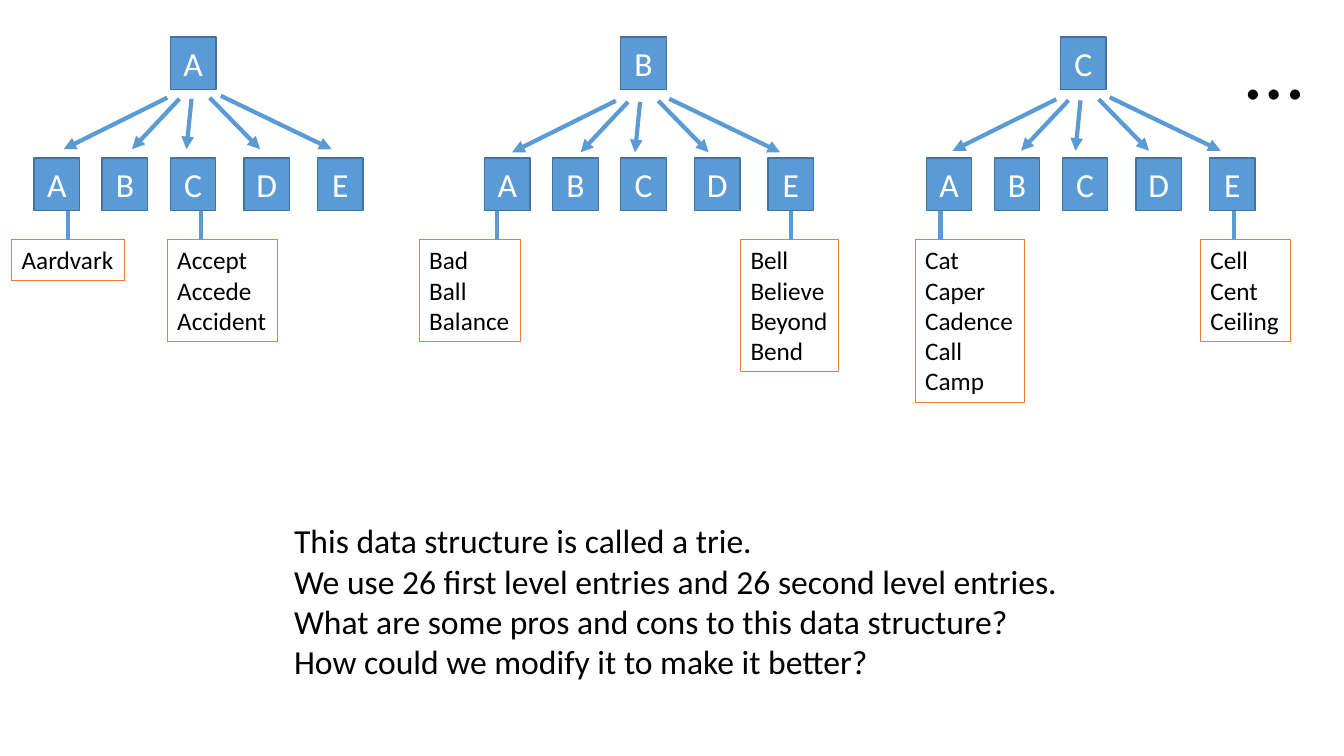
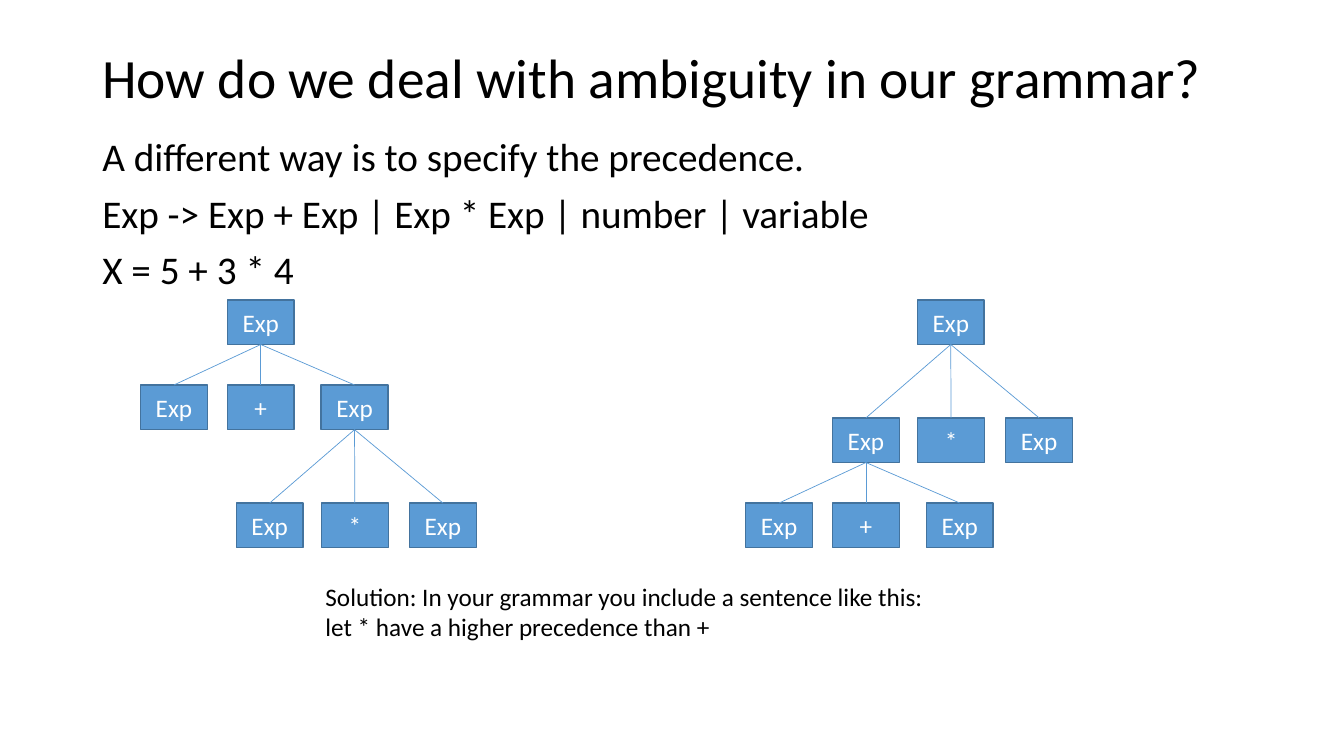
from dataclasses import dataclass

from lxml.etree import SubElement
from pptx import Presentation
from pptx.dml.color import RGBColor
from pptx.enum.shapes import MSO_CONNECTOR, MSO_SHAPE
from pptx.enum.text import MSO_ANCHOR, PP_ALIGN
from pptx.oxml.ns import qn
from pptx.util import Pt


@dataclass(frozen=True)
class Theme:
    font: str = "Calibri"
    blue: RGBColor = RGBColor(0x5B, 0x9B, 0xD5)
    navy: RGBColor = RGBColor(0x43, 0x73, 0x9E)
    orange: RGBColor = RGBColor(0xED, 0x7D, 0x31)
    black: RGBColor = RGBColor(0, 0, 0)
    white: RGBColor = RGBColor(0xFF, 0xFF, 0xFF)
    dots: float = 60
    title: float = 39.6
    body: float = 28
    large: float = 24
    small: float = 18


class Deck:
    """Draws styled elements on the current slide."""

    def __init__(self, theme):
        self.theme = theme
        self.deck = Presentation()
        self.deck.slide_width, self.deck.slide_height = Pt(960), Pt(540)
        self.slide = None

    def new_slide(self):
        self.slide = self.deck.slides.add_slide(self.deck.slide_layouts[6])

    def set_wording(self, frame, wording, size, color):
        frame.text = wording
        for paragraph in frame.paragraphs:
            for run in paragraph.runs:
                run.font.name = self.theme.font
                run.font.size = Pt(size)
                run.font.color.rgb = color

    def text(self, wording, left, top, width, height, size, wrap=False):
        box = self.slide.shapes.add_textbox(Pt(left), Pt(top), Pt(width), Pt(height))
        box.text_frame.word_wrap = wrap
        self.set_wording(box.text_frame, wording, size, self.theme.black)
        return box

    def title(self, wording):
        heading = self.text(wording, 66, 29, 828, 57, self.theme.title, wrap=True)
        heading.text_frame.vertical_anchor = MSO_ANCHOR.MIDDLE
        heading.text_frame.paragraphs[0].line_spacing = 0.9

    def body(self, wording):
        content = self.text(wording, 66, 95, 828, 391, self.theme.body, wrap=True)
        for paragraph in content.text_frame.paragraphs:
            paragraph.line_spacing = 0.9
            paragraph.space_before = Pt(10)

    def node(self, label, left, top, width, height, size):
        node = self.slide.shapes.add_shape(
            MSO_SHAPE.RECTANGLE, Pt(left), Pt(top), Pt(width), Pt(height))
        node.shadow.inherit = False
        node.fill.solid()
        node.fill.fore_color.rgb = self.theme.blue
        node.line.color.rgb = self.theme.navy
        node.line.width = Pt(1)
        self.set_wording(node.text_frame, label, size, self.theme.white)
        node.text_frame.vertical_anchor = MSO_ANCHOR.MIDDLE
        node.text_frame.paragraphs[0].alignment = PP_ALIGN.CENTER
        return node

    def line(self, start, end, width, arrow=False):
        link = self.slide.shapes.add_connector(
            MSO_CONNECTOR.STRAIGHT, *(Pt(value) for value in (*start, *end)))
        link.line.color.rgb = self.theme.blue
        link.line.width = Pt(width)
        properties = link.element.spPr
        if arrow:
            SubElement(properties.find(qn("a:ln")), qn("a:tailEnd"), type="triangle")
        SubElement(properties, qn("a:effectLst"))
        return link

    def letter(self, label, left, top):
        self.node(label, left, top, 32.5, 37.6, self.theme.large)

    def word_list(self, words, left, width, stem):
        height = 29.1 + 21.8 * (len(words) - 1)
        entries = self.text("\n".join(words), left, 171.2, width, height, self.theme.small)
        entries.line.color.rgb = self.theme.orange
        entries.line.width = Pt(0.75)
        self.line((stem, 171.2), (stem, 150.5), 3)

    def trie(self, label, root_left, children_left, fan_left, fan_drop):
        self.letter(label, root_left, 26.5)
        for child, offset in zip("ABCDE", CHILD_OFFSETS):
            self.letter(child, children_left + offset, 113)
        for start_x, start_y, end_x in FAN:
            self.line((fan_left + start_x, fan_drop + start_y),
                      (fan_left + end_x, fan_drop + 106.6), 3, arrow=True)

    def syntax_tree(self, tree, left, top):
        label, offsets, drop, children = tree
        parent = self.node(label, left, top, 47.7, 31.9, self.theme.small)
        for child, offset in zip(children, offsets):
            branch = self.syntax_tree(child, left + offset, top + drop)
            link = self.line((left, top), (left, top), 0.5)
            link.begin_connect(parent, 2)
            link.end_connect(branch, 0)
        return parent


CHILD_OFFSETS = (0, 48.6, 97.2, 149.8, 202.4)
FAN = (
    (119.5, 69.8, 45.4),
    (128.2, 70.6, 94.3),
    (136.8, 70.6, 133.2),
    (149.8, 69.8, 185.8),
    (157.7, 68.4, 236.9),
)
TRIES = (
    ("A", 121.7, 24.4, 0, 0),
    ("B", 443.4, 346.2, 320.4, 2.2),
    ("C", 757.5, 661.6, 635, 1.1),
)
WORD_LISTS = (
    (("Aardvark",), 8.4, 80.8, 48.8),
    (("Accept", "Accede", "Accident"), 119.5, 78.7, 143.3),
    (("Bad", "Ball", "Balance"), 299.5, 72.2, 355),
    (("Bell", "Believe", "Beyond", "Bend"), 529, 70, 565.2),
    (("Cat", "Caper", "Cadence", "Call", "Camp"), 653.8, 77.8, 671.8),
    (("Cell", "Cent", "Ceiling"), 857.5, 64.2, 881.3),
)


def leaf(label):
    return label, (), 0, ()


def addition(left, right):
    return "Exp", (-62, 0, 67), 60.8, (left, leaf("+"), right)


def product(left, right):
    return "Exp", (-60.6, 0.2, 63.1), 84.3, (left, leaf("*"), right)


def trie_slide(deck):
    deck.new_slide()
    for trie in TRIES:
        deck.trie(*trie)
    deck.text("…", 882.7, 7.2, 56.2, 80, deck.theme.dots)
    for word_list in WORD_LISTS:
        deck.word_list(*word_list)
    deck.text(
        "This data structure is called a trie.\v"
        "We use 26 first level entries and 26 second level entries.\n"
        "What are some pros and cons to this data structure?\n"
        "How could we modify it to make it better?",
        203, 368, 564.5, 123.8, deck.theme.large)


def grammar_slide(deck):
    deck.new_slide()
    deck.title("How do we deal with ambiguity in our grammar?")
    deck.body(
        "A different way is to specify the precedence.\n"
        "Exp -> Exp + Exp | Exp * Exp | number | variable\n"
        "X = 5 + 3 * 4")
    exp = leaf("Exp")
    deck.syntax_tree(addition(exp, product(exp, exp)), 162.4, 214.2)
    deck.syntax_tree(product(addition(exp, exp), exp), 655.3, 214.2)
    deck.text(
        "Solution: In your grammar you include a sentence like this:\v"
        "let * have a higher precedence than +",
        225.4, 411.8, 446.4, 94.3, deck.theme.small)


def main():
    deck = Deck(Theme())
    trie_slide(deck)
    grammar_slide(deck)
    deck.deck.save("out.pptx")


if __name__ == "__main__":
    main()
